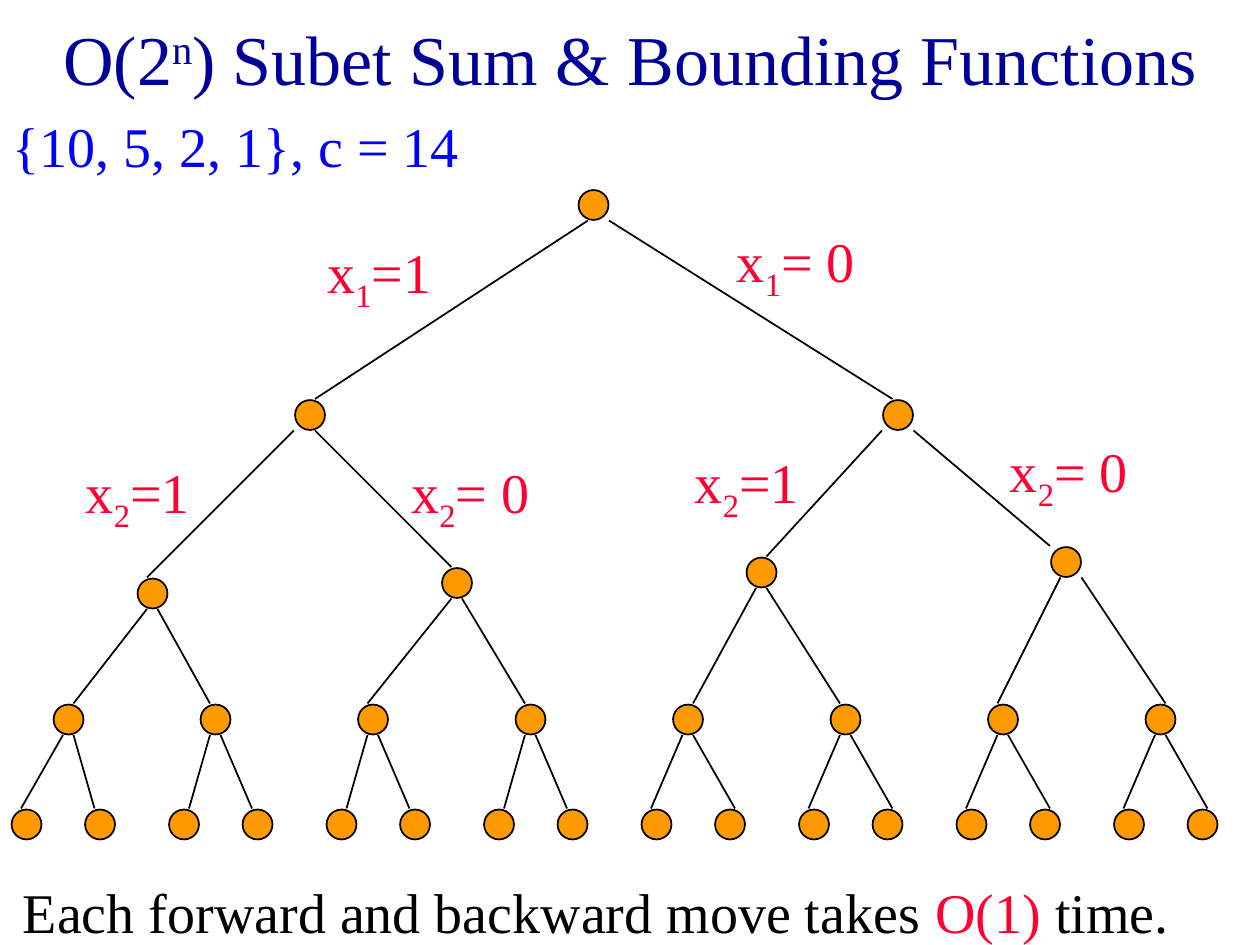
import pptx
import pptx.dml.color
import pptx.enum.shapes
import pptx.enum.text
import pptx.oxml
import pptx.oxml.ns
import pptx.util

THEME = {
    "font": "Times New Roman",
    "title_size": 40,
    "body_size": 32,
    "title": "000099",
    "set": "0000FF",
    "accent": "FF0033",
    "ink": "000000",
    "node": "FF9900",
}
COLUMNS, ROWS = 120, 90

deck = pptx.Presentation()
deck.slide_width = pptx.util.Inches(10)
deck.slide_height = pptx.util.Inches(7.5)
page = deck.slides.add_slide(deck.slide_layouts[5])


def at(column, row):
    return int(deck.slide_width * column / COLUMNS), int(deck.slide_height * row / ROWS)


def write(box, parts, size=THEME["body_size"], color="ink", align="LEFT", anchor="TOP"):
    frame = box.text_frame
    frame.word_wrap = True
    frame.auto_size = pptx.enum.text.MSO_AUTO_SIZE.NONE
    frame.vertical_anchor = pptx.enum.text.MSO_ANCHOR[anchor]
    para = frame.paragraphs[0]
    para.alignment = pptx.enum.text.PP_ALIGN[align]
    for text, baseline, part_color in parts:
        span = para.add_run()
        span.text = text
        span.font.name = THEME["font"]
        span.font.size = pptx.util.Pt(size)
        span.font.color.rgb = pptx.dml.color.RGBColor.from_string(THEME[part_color or color])
        if baseline:
            span.font._element.set("baseline", str(baseline * 1000))


title = page.shapes.title
title.left, title.top = at(4, 0)
title.width, title.height = at(112, 11)
write(title, [("O(2", 0, None), ("n", 30, None), (") Subet Sum & Bounding Functions", 0, None)],
      size=THEME["title_size"], color="title", align="CENTER", anchor="MIDDLE")

# Each node: column, row, offset where its incoming edge ends, offsets where its two edges start
levels = [
    [(55, 18, None, (1, 3))],
    [(28, 38, 2, (0, 2)), (84, 38, 1, (0, 3))],
    [(13, 55, 1, (1, 2)), (42, 54, 1, (1, 2)), (71, 53, 2, (1, 2)), (100, 52, 0, (1, 3))],
    [(column, 67, end, (1, 2))
     for column, end in zip([5, *range(19, 110, 15)], [2, 1, 1, 1, 2, 1, 1, 2])],
    [(column + 15 * pair, 77, end, ())
     for pair, ends in enumerate([(1, 1)] + [(2, 1)] * 3 + [(1, 2)] * 4)
     for column, end in zip((1, 8), ends)],
]
tree = page.shapes.add_group_shape()

for parents, children in zip(levels, levels[1:]):
    for index, (column, row, end, starts) in enumerate(children):
        parent_column, parent_row, parent_end, parent_starts = parents[index // 2]
        edge = tree.shapes.add_connector(
            pptx.enum.shapes.MSO_CONNECTOR.STRAIGHT,
            *at(parent_column + parent_starts[index % 2], parent_row + 3), *at(column + end, row))
        edge.line.color.rgb = pptx.dml.color.RGBColor.from_string(THEME["ink"])
        edge.line.width = pptx.util.Pt(1)
        edge._element.spPr.append(pptx.oxml.parse_xml(
            f'<a:effectLst {pptx.oxml.ns.nsdecls("a")}/>'))

for level in levels:
    for column, row, end, starts in level:
        node = tree.shapes.add_shape(pptx.enum.shapes.MSO_SHAPE.OVAL,
                                     *at(column + 0.1, row + 0.1), *at(2.85, 2.85))
        node.shadow.inherit = False
        node.fill.solid()
        node.fill.fore_color.rgb = pptx.dml.color.RGBColor.from_string(THEME["node"])
        node.line.color.rgb = pptx.dml.color.RGBColor.from_string(THEME["ink"])
        node.line.width = pptx.util.Pt(1)

for column, row, variable, value in [
    (30, 22, "1", "=1"), (69, 21, "1", "= 0"),
    (7, 43, "2", "=1"), (38, 43, "2", "= 0"),
    (65, 42, "2", "=1"), (95, 41, "2", "= 0"),
]:
    label = tree.shapes.add_textbox(*at(column, row), *at(14, 8.5))
    write(label, [("x", 0, None), (variable, -25, None), (value, 0, None)], color="accent")

cost = page.shapes.add_textbox(*at(1, 83), *at(116, 7.5))
write(cost, [("Each forward and backward move takes ", 0, None), ("O(1) ", 0, "accent"),
             ("time.", 0, None)])

numbers = page.shapes.add_textbox(*at(0, 10), *at(57, 7.7))
write(numbers, [("{10, 5, 2, 1}, c = 14", 0, None)], color="set")

deck.save("out.pptx")
